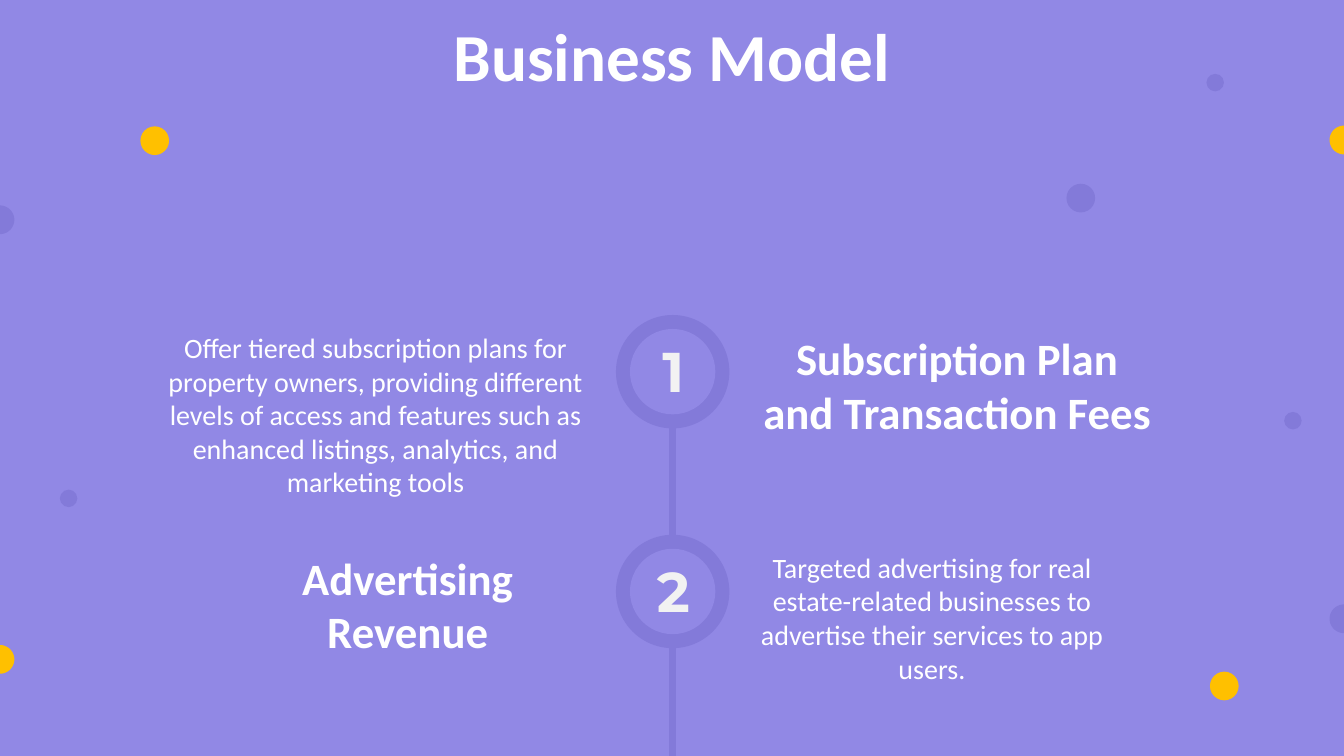
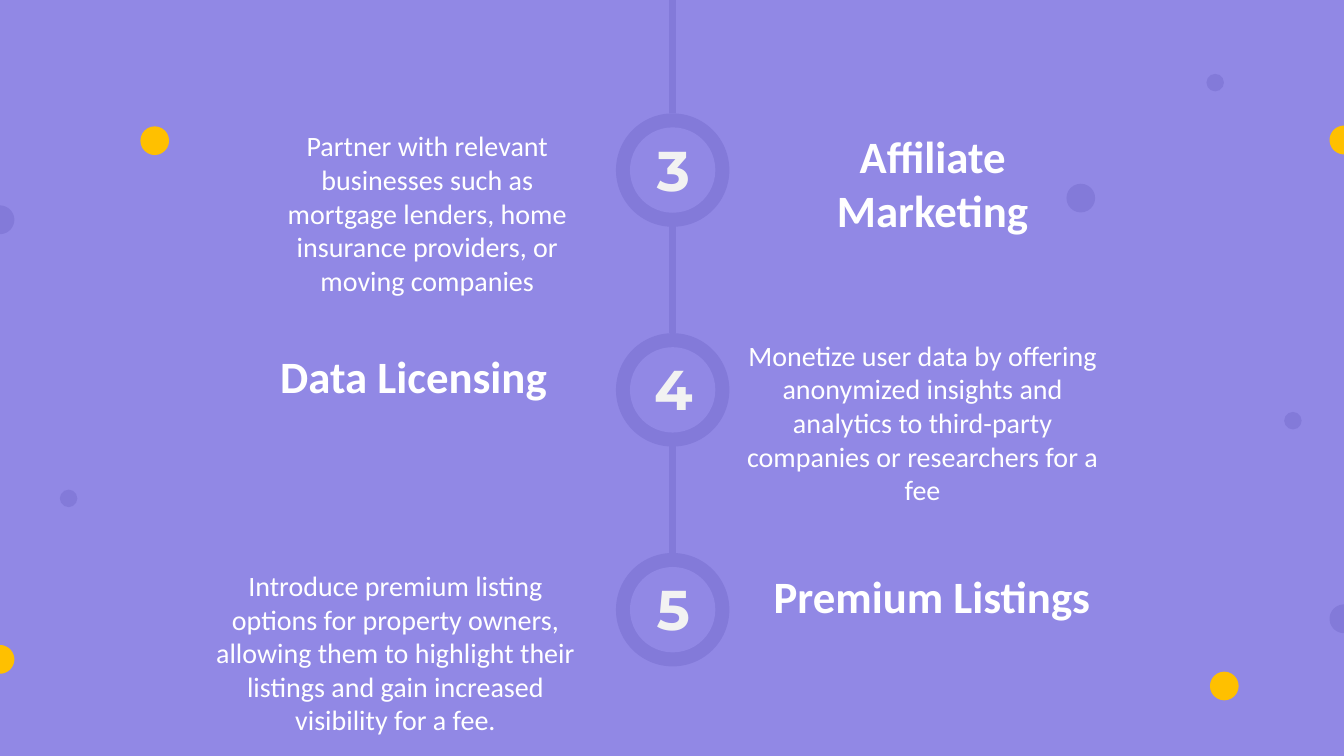
import math

import lxml.etree
import pptx
import pptx.dml.color
import pptx.enum.shapes
import pptx.enum.text
import pptx.oxml.ns
import pptx.util

Pt = pptx.util.Pt

# Shared style, lengths in points
WIDTH, HEIGHT = 960, 540
COLORS = {"background": "9188E5", "accent": "837AD9", "highlight": "FFC000",
          "text": "FFFFFF", "number": "F2F2F2"}
TITLE, HEADING, BODY, NUMBER = 48, 32, 20, 40
BIG_DOT, SMALL_DOT = 20.5, 12.5

# Timeline geometry
RING, RING_BAND, RING_PITCH = 81, 10, 157
CENTER_X = 480.5
LEFT_EDGE, RIGHT_EDGE = 425.5, 535.5
TEXT_DROP = 7.5

# Decorative dots: center x, center y, diameter, color
DOTS = [
    (923.5, 300.5, SMALL_DOT, "accent"),
    (868, 59, SMALL_DOT, "accent"),
    (49, 356, SMALL_DOT, "accent"),
    (874.5, 490, BIG_DOT, "highlight"),
    (772, 141.5, BIG_DOT, "accent"),
    (110.5, 100.5, BIG_DOT, "highlight"),
]
# Half dots on the slide edges: edge x, center y, color
EDGE_DOTS = [(WIDTH, 442, "accent"), (WIDTH, 100, "highlight"),
             (0, 471, "highlight"), (0, 157, "accent")]


class Deck:
    """Holds the style and the slide being built."""

    def __init__(self):
        self.presentation = pptx.Presentation()
        self.presentation.slide_width = Pt(WIDTH)
        self.presentation.slide_height = Pt(HEIGHT)
        self.slide = None

    def color(self, name):
        return pptx.dml.color.RGBColor.from_string(COLORS[name])

    def paint(self, target, color):
        target.fill.solid()
        target.fill.fore_color.rgb = self.color(color)

    def finish(self, shape, color):
        self.paint(shape, color)
        shape.line.fill.background()
        shape.shadow.inherit = False

    def add_slide(self):
        self.slide = self.presentation.slides.add_slide(self.presentation.slide_layouts[6])
        self.paint(self.slide.background, "background")
        for x, y, size, color in DOTS:
            self.circle(x, y, size, color)
        for edge, y, color in EDGE_DOTS:
            self.half_dot(edge, y, color)

    def circle(self, x, y, size, color):
        shape = self.slide.shapes.add_shape(
            pptx.enum.shapes.MSO_SHAPE.OVAL,
            Pt(x - size / 2), Pt(y - size / 2), Pt(size), Pt(size))
        self.finish(shape, color)

    def half_dot(self, edge, y, color):
        radius = BIG_DOT / 2
        inward = 1 if edge == 0 else -1
        angles = [math.radians(step) for step in range(-90, 91, 6)]
        points = [(Pt(edge + inward * radius * math.cos(angle)),
                   Pt(y + radius * math.sin(angle))) for angle in angles]
        builder = self.slide.shapes.build_freeform(*points[0])
        builder.add_line_segments(points[1:], close=True)
        self.finish(builder.convert_to_shape(), color)

    def vertical_line(self, top, bottom):
        connector = self.slide.shapes.add_connector(
            pptx.enum.shapes.MSO_CONNECTOR.STRAIGHT,
            Pt(CENTER_X), Pt(top), Pt(CENTER_X), Pt(bottom))
        connector.line.color.rgb = self.color("accent")
        connector.line.width = Pt(4.5)
        properties = connector._element.spPr
        lxml.etree.SubElement(properties, pptx.oxml.ns.qn("a:effectLst"))

    def text(self, text, left, top, width, size, lines=1, bold=True,
             font="Calibri", color="text"):
        height = lines * size * 1.2 + 7.2
        box = self.slide.shapes.add_textbox(Pt(left), Pt(top), Pt(width), Pt(height))
        frame = box.text_frame
        frame.word_wrap = True
        frame.auto_size = pptx.enum.text.MSO_AUTO_SIZE.SHAPE_TO_FIT_TEXT
        paragraph = frame.paragraphs[0]
        paragraph.text = text
        paragraph.alignment = pptx.enum.text.PP_ALIGN.CENTER
        paragraph.font.name = font
        paragraph.font.size = Pt(size)
        paragraph.font.bold = bold
        paragraph.font.color.rgb = self.color(color)

    def title(self, text):
        self.text(text, 289.5, 7, 381, TITLE)

    def ring(self, number, top):
        middle = top + RING / 2
        self.circle(CENTER_X, middle, RING, "accent")
        self.circle(CENTER_X, middle, RING - 2 * RING_BAND, "background")
        self.text(str(number), 458.5, top + 12, 45, NUMBER,
                  font="Montserrat", color="number")

    def step(self, number, top, heading, body, shift=(0, 0)):
        """Odd steps have the heading on the right, even ones on the left."""
        self.ring(number, top)
        odd = number % 2 == 1
        for (text, width, lines), is_body in ((heading, False), (body, True)):
            on_left = odd == is_body
            left = LEFT_EDGE - width if on_left else RIGHT_EDGE
            move_x, move_y = shift if is_body else (0, 0)
            self.text(text, left + move_x, top + TEXT_DROP + move_y, width,
                      BODY if is_body else HEADING, lines, bold=not is_body)

    def timeline(self, first_top, steps):
        for index, (number, *content) in enumerate(steps):
            top = first_top + index * RING_PITCH
            if index:
                self.vertical_line(top - RING_PITCH + RING - 5, top)
            self.step(number, top, *content)


# Steps: number, (heading, width, lines), (body, width, lines), optional body shift
FIRST_STEPS = [
    (1, ("Subscription Plan and Transaction Fees", 296.5, 2),
     ("Offer tiered subscription plans for property owners, providing different levels "
      "of access and features such as enhanced listings, analytics, and marketing tools",
      314.5, 5)),
    (2, ("Advertising Revenue", 268.5, 2),
     ("Targeted advertising for real estate-related businesses to advertise their "
      "services to app users.", 260.5, 4)),
]
SECOND_STEPS = [
    (3, ("Affiliate Marketing", 261.5, 2),
     ("Partner with relevant businesses such as mortgage lenders, home insurance "
      "providers, or moving companies", 240.5, 5)),
    (4, ("Data Licensing", 260, 1),
     ("Monetize user data by offering anonymized insights and analytics to third-party "
      "companies or researchers for a fee", 286, 5), (-19.5, -TEXT_DROP)),
    (5, ("Premium Listings", 260.5, 1),
     ("Introduce premium listing options for property owners, allowing them to highlight "
      "their listings and gain increased visibility for a fee.", 286, 5)),
]


def main():
    deck = Deck()

    # Slide 1: title and first steps, line runs off the bottom
    deck.add_slide()
    deck.title("Business Model")
    deck.timeline(225, FIRST_STEPS)
    deck.vertical_line(225 + RING_PITCH + RING - 5, HEIGHT)

    # Slide 2: line enters from the top, remaining steps
    deck.add_slide()
    deck.vertical_line(0, 81)
    deck.timeline(81, SECOND_STEPS)

    deck.presentation.save("out.pptx")


if __name__ == "__main__":
    main()
